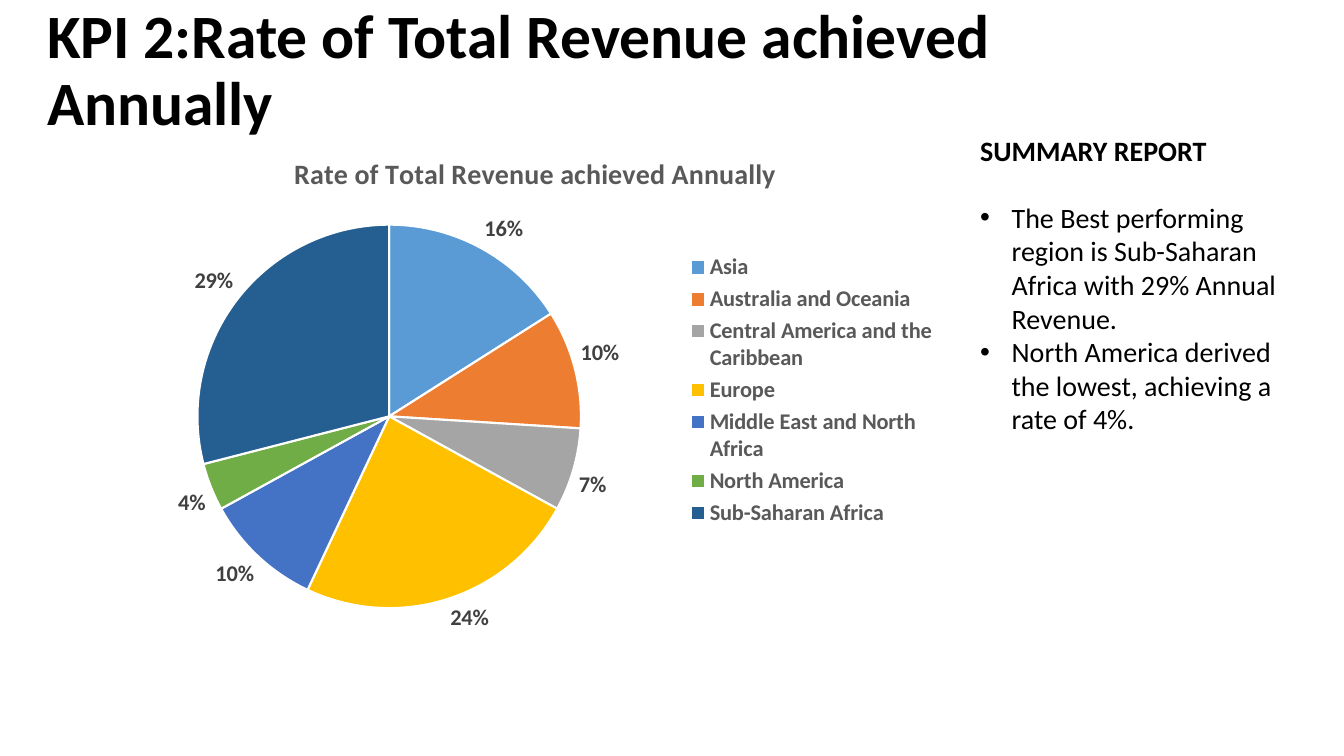
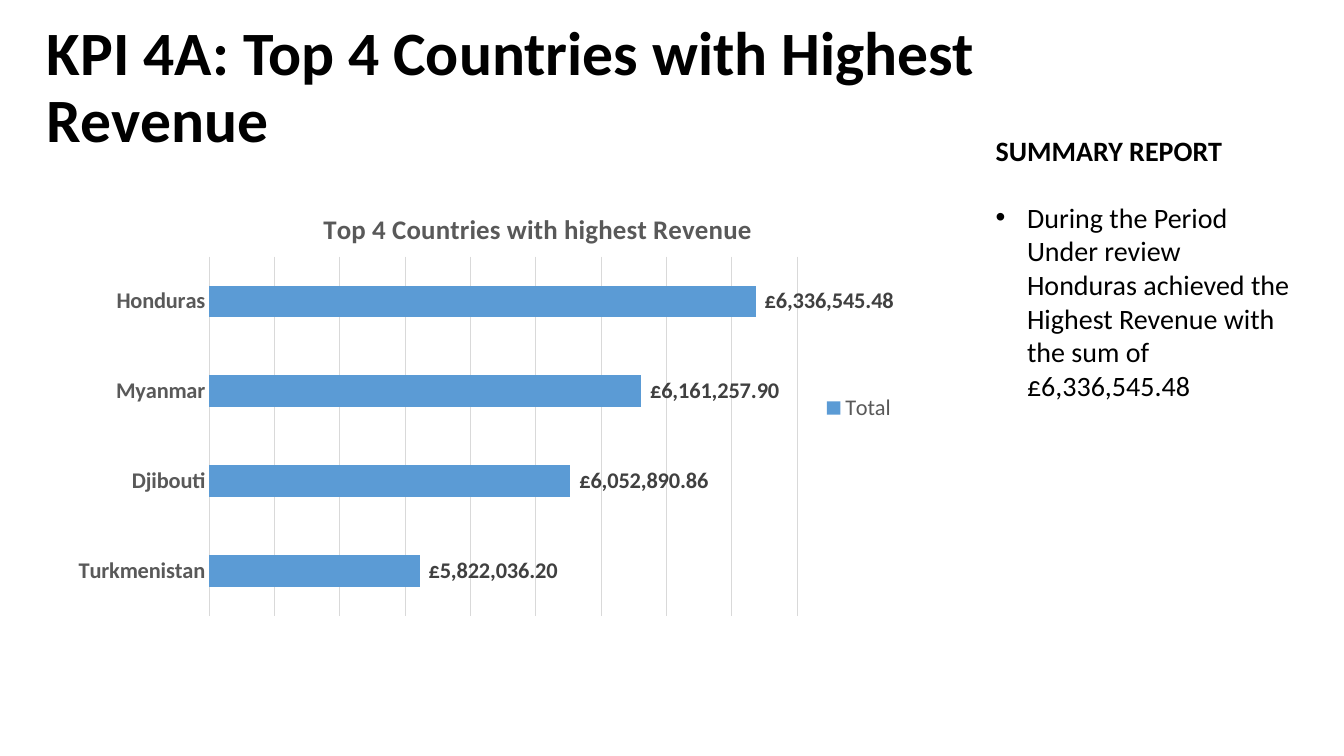
"""Build two KPI slides, each with a chart and a summary report."""
from lxml import etree
from pptx import Presentation
from pptx.chart.data import CategoryChartData
from pptx.dml.color import RGBColor
from pptx.enum.chart import XL_CHART_TYPE, XL_LABEL_POSITION, XL_LEGEND_POSITION, XL_TICK_MARK
from pptx.enum.text import MSO_ANCHOR
from pptx.oxml.ns import qn
from pptx.util import Pt

PIE, BAR = XL_CHART_TYPE.PIE, XL_CHART_TYPE.BAR_CLUSTERED
OUTSIDE_END = XL_LABEL_POSITION.OUTSIDE_END
LEGEND_RIGHT = XL_LEGEND_POSITION.RIGHT
NO_TICK = XL_TICK_MARK.NONE
MIDDLE = MSO_ANCHOR.MIDDLE

FONT = "Calibri"
BLACK, WHITE, GREY, LABEL_GREY, GRID = "000000", "FFFFFF", "595959", "404040", "D9D9D9"
PALETTE = ["5B9BD5", "ED7D31", "A5A5A5", "FFC000", "4472C4", "70AD47", "255E91"]
BULLET_INDENT = 22.5
REPORT_HEADING = "SUMMARY REPORT"

SLIDES = [
    {
        "title": "KPI 2:Rate of Total Revenue achieved Annually",
        "title_box": (26.5, 11.5, 837.5, 80),
        "report": [
            "The Best performing region is Sub-Saharan Africa with 29% Annual Revenue.",
            "North America derived the lowest, achieving a rate of 4%.",
        ],
        "report_box": (693, 91.5, 240, 250),
        "chart": {
            "type": PIE,
            "box": (81.5, 91.5, 595.5, 374.5),
            "title": "Rate of Total Revenue achieved Annually",
            "title_size": 20,
            "title_place": {"x": 0.21, "y": 0.04},
            "plot_place": {"x": 0.1, "y": 0.18, "w": 0.46, "h": 0.74},
            "series": "Series 1",
            "values": {
                "Asia": 0.16,
                "Australia and Oceania": 0.10,
                "Central America and the Caribbean": 0.07,
                "Europe": 0.24,
                "Middle East and North Africa": 0.10,
                "North America": 0.04,
                "Sub-Saharan Africa": 0.29,
            },
            "format": "0%",
            "legend_bold": True,
        },
    },
    {
        "title": "KPI 4A: Top 4 Countries with Highest Revenue",
        "title_box": (26.5, 11.5, 828, 104.5),
        "report": [
            "During the Period Under review Honduras achieved the Highest Revenue "
            "with the sum of £6,336,545.48",
        ],
        "report_box": (704, 91.5, 228.5, 250),
        "chart": {
            "type": BAR,
            "box": (47.5, 137, 600, 309),
            "title": "Top 4 Countries with highest Revenue",
            "title_size": 19.2,
            "title_place": {"x": 0.3, "y": 0.03},
            "plot_place": {"x": 0.17, "y": 0.15, "w": 0.7, "h": 0.83},
            "series": "Total",
            "values": {
                "Turkmenistan": 5822036.20,
                "Djibouti": 6052890.86,
                "Myanmar": 6161257.90,
                "Honduras": 6336545.48,
            },
            "format": "_-[$£-809]* #,##0.00_-",
            "legend_bold": False,
        },
    },
]


def rgb(value):
    """Turn a hex string into a colour."""
    return RGBColor.from_string(value)


def set_font(font, size, color, bold=False):
    """Apply the deck font with a size, colour and weight."""
    font.name, font.size, font.bold = FONT, Pt(size), bold
    font.color.rgb = rgb(color)


def add_text_box(slide, box):
    """Add a wrapping text box and return its text frame."""
    frame = slide.shapes.add_textbox(*map(Pt, box)).text_frame
    frame.word_wrap = True
    return frame


def add_title(slide, text, box):
    """Add the slide title."""
    frame = add_text_box(slide, box)
    frame.vertical_anchor = MIDDLE
    para = frame.paragraphs[0]
    para.text, para.line_spacing = text, 0.9
    set_font(para.font, 44, BLACK, True)


def add_bullet(para):
    """Give a paragraph a hanging round bullet."""
    properties = para._p.get_or_add_pPr()
    properties.set("marL", str(Pt(BULLET_INDENT)))
    properties.set("indent", str(-Pt(BULLET_INDENT)))
    etree.SubElement(properties, qn("a:buFont"), typeface="Arial")
    etree.SubElement(properties, qn("a:buChar"), char="•")


def add_report(slide, points, box):
    """Add the summary heading and its bullet points."""
    frame = add_text_box(slide, box)
    heading = frame.paragraphs[0]
    heading.text, heading.space_after = REPORT_HEADING, Pt(24)
    set_font(heading.font, 20, BLACK, True)
    for point in points:
        para = frame.add_paragraph()
        para.text = point
        add_bullet(para)
        set_font(para.font, 20, BLACK)


def place_part(part, place, index, target=None):
    """Set a manual layout, in fractions of the chart, on a chart part."""
    for old in part.findall(qn("c:layout")):
        part.remove(old)
    layout = etree.Element(qn("c:layout"))
    manual = etree.SubElement(layout, qn("c:manualLayout"))
    settings = {"layoutTarget": target} if target else {}
    settings |= {"xMode": "edge", "yMode": "edge", **place}
    for name, value in settings.items():
        etree.SubElement(manual, qn(f"c:{name}"), val=str(value))
    part.insert(index, layout)


def style_pie(chart):
    """Colour the slices and part them with white lines."""
    series = chart.plots[0].series[0]
    for index, color in enumerate(PALETTE):
        slice_format = series.points[index].format
        slice_format.fill.solid()
        slice_format.fill.fore_color.rgb = rgb(color)
        slice_format.line.color.rgb = rgb(WHITE)
        slice_format.line.width = Pt(1.5)


def style_bars(chart):
    """Colour the bars and set the axes and grid."""
    plot = chart.plots[0]
    plot.gap_width, plot.vary_by_categories = 182, False
    fill = plot.series[0].format.fill
    fill.solid()
    fill.fore_color.rgb = rgb(PALETTE[0])
    names, amounts = chart.category_axis, chart.value_axis
    names.major_tick_mark = NO_TICK
    set_font(names.tick_labels.font, 16, GREY, True)
    amounts.minimum_scale, amounts.maximum_scale, amounts.major_unit = 5500000, 6400000, 100000
    amounts.has_major_gridlines, amounts.visible = True, False
    for line in (names.format.line, amounts.major_gridlines.format.line):
        line.color.rgb, line.width = rgb(GRID), Pt(0.75)


def add_chart(slide, content):
    """Add a chart with its title, legend and value labels."""
    data = CategoryChartData()
    data.categories = list(content["values"])
    data.add_series(content["series"], list(content["values"].values()))
    chart = slide.shapes.add_chart(content["type"], *map(Pt, content["box"]), data).chart
    set_font(chart.font, 16, BLACK)

    chart.has_title = True
    title = chart.chart_title
    title.include_in_layout = False
    para = title.text_frame.paragraphs[0]
    para.text = content["title"]
    set_font(para.font, content["title_size"], GREY, True)
    place_part(chart.element.find(".//" + qn("c:title")), content["title_place"], 1)
    place_part(chart.element.find(".//" + qn("c:plotArea")), content["plot_place"], 0, "inner")

    chart.has_legend = True
    chart.legend.position, chart.legend.include_in_layout = LEGEND_RIGHT, False
    set_font(chart.legend.font, 16, GREY, content["legend_bold"])

    plot = chart.plots[0]
    plot.has_data_labels = True
    labels = plot.data_labels
    labels.show_value, labels.show_percentage = True, False
    labels.position = OUTSIDE_END
    labels.number_format, labels.number_format_is_linked = content["format"], False
    set_font(labels.font, 16, LABEL_GREY, True)
    (style_pie if content["type"] == PIE else style_bars)(chart)


def main():
    """Build and save the deck."""
    deck = Presentation()
    deck.slide_width, deck.slide_height = Pt(960), Pt(540)
    for content in SLIDES:
        slide = deck.slides.add_slide(deck.slide_layouts[6])
        add_title(slide, content["title"], content["title_box"])
        add_report(slide, content["report"], content["report_box"])
        add_chart(slide, content["chart"])
    deck.save("out.pptx")


if __name__ == "__main__":
    main()
